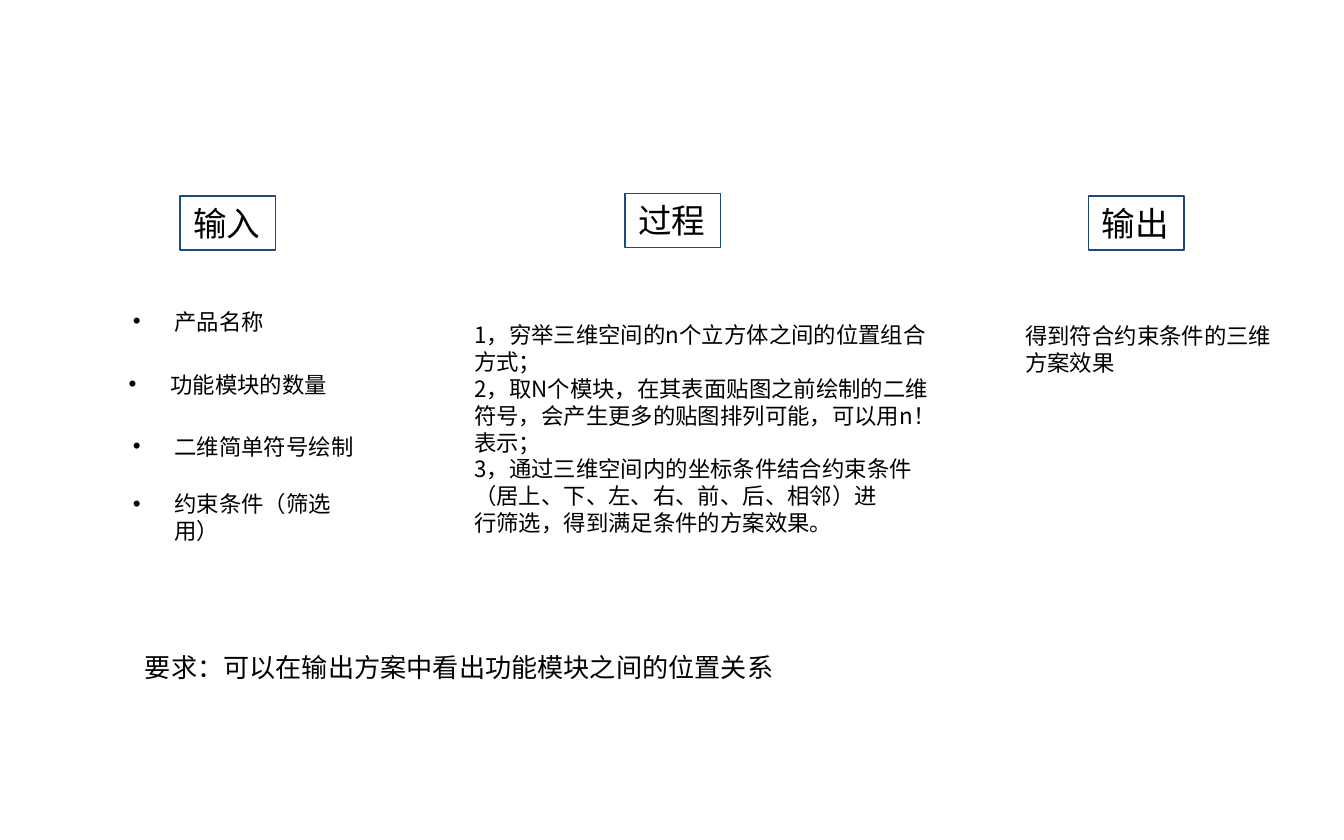
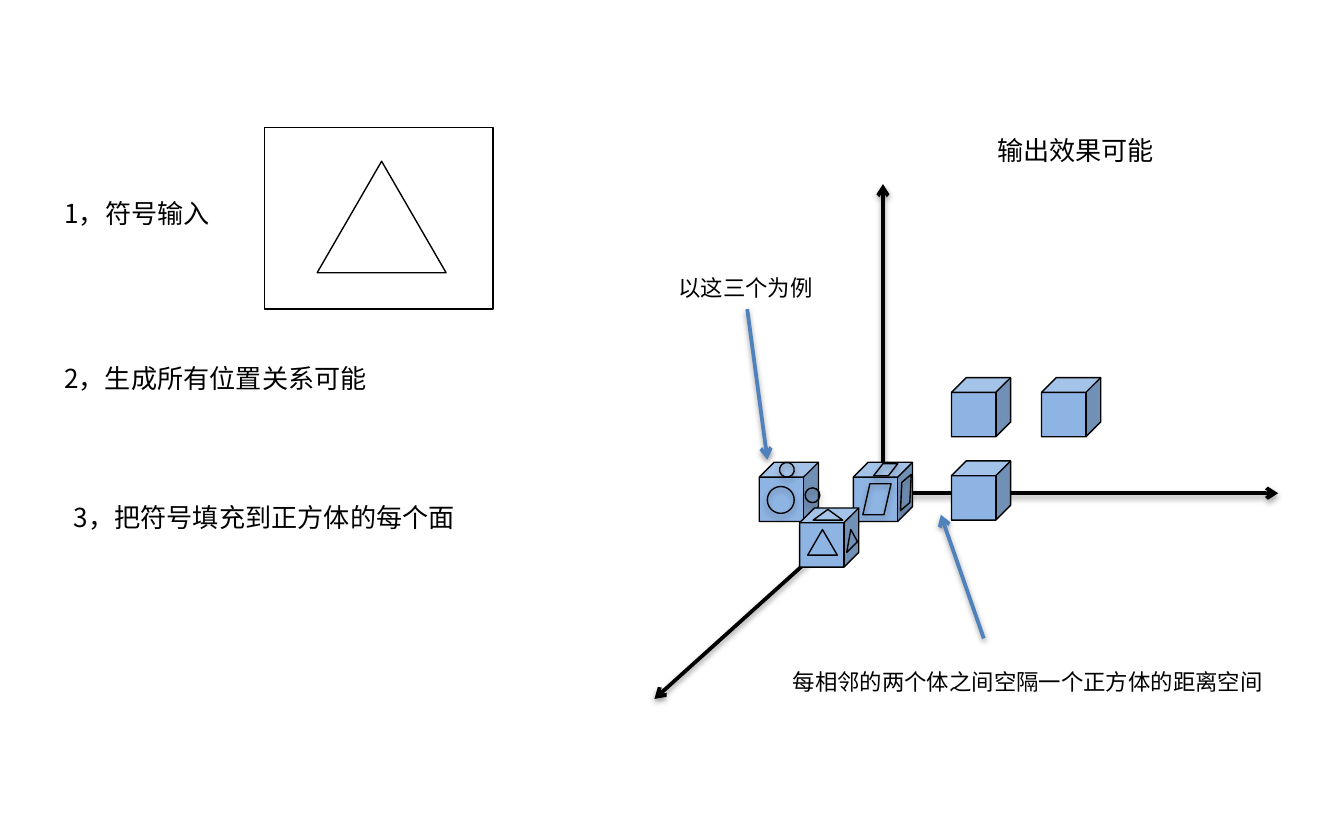
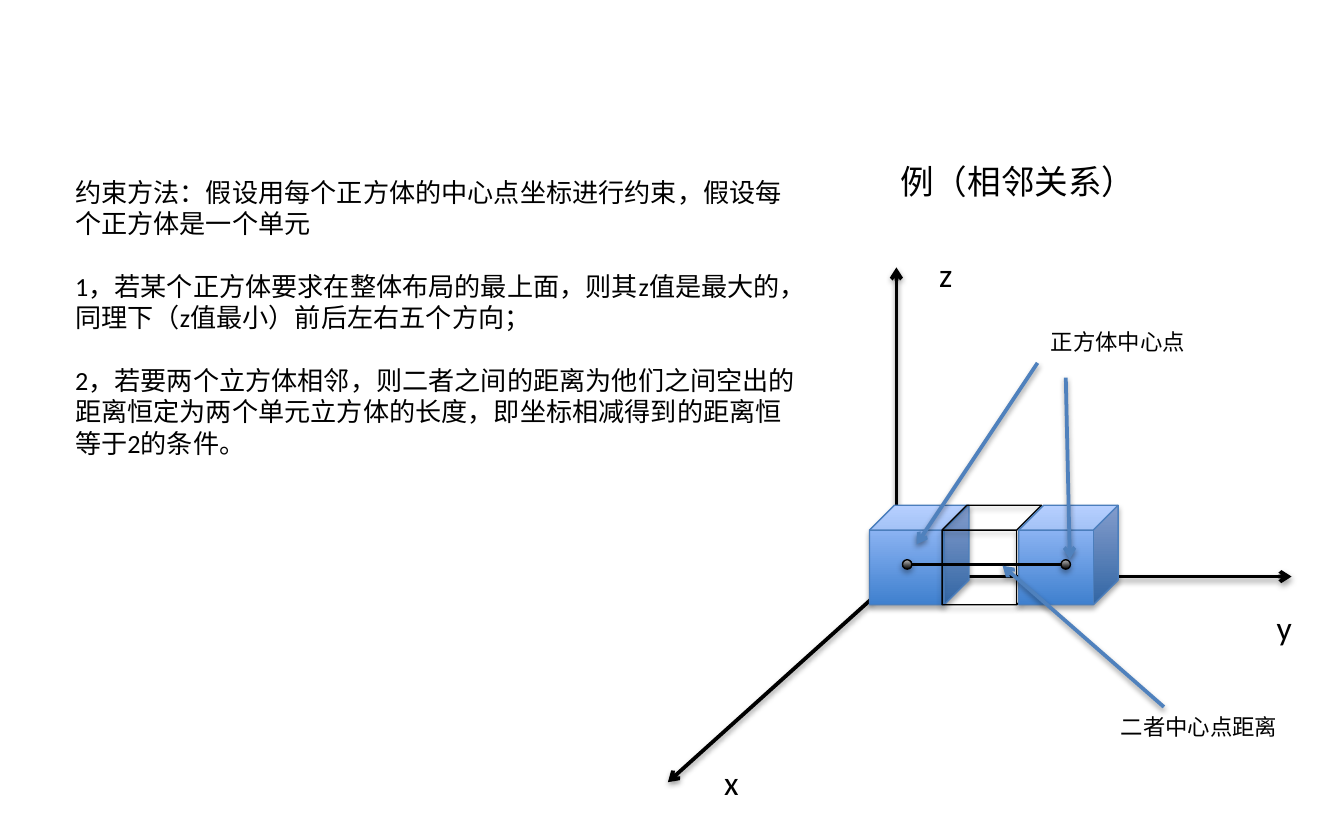
from lxml.etree import SubElement
from pptx import Presentation
from pptx.dml.color import RGBColor
from pptx.enum.shapes import MSO_CONNECTOR, MSO_SHAPE
from pptx.enum.text import MSO_ANCHOR, MSO_AUTO_SIZE
from pptx.oxml.ns import qn
from pptx.util import Inches, Pt

COLUMNS, ROWS = 100, 62.5  # one cell is a tenth of an inch
COLORS = {
    "ink": "000000", "frame": "1F497D", "pointer": "4F81BD", "cube": "8EB4E3",
    "edge": "4B7EBC", "deep": "3F80CE", "pale": "A4C4FF", "silver": "BDBDBD",
}
CJK = "Noto Sans CJK SC"
LATIN = "Calibri"
SHAPE_SHADOW = {"alpha": 35, "blur": 3.1, "dist": 1.8}
LINE_SHADOW = {"alpha": 38, "blur": 3.1, "dist": 1.6}


def rgb(name):
    """Return a palette colour."""
    return RGBColor.from_string(COLORS[name])


class Deck:
    """Shared style and the slide being drawn."""

    def __init__(self):
        """Start an empty presentation of 10 by 6.25 inches."""
        self.show = Presentation()
        self.show.slide_width = Inches(10)
        self.show.slide_height = Inches(6.25)
        self.slide = None

    def new_slide(self):
        """Add a blank slide and make it current."""
        self.slide = self.show.slides.add_slide(self.show.slide_layouts[6])

    def x(self, columns):
        """Turn columns into a length."""
        return round(self.show.slide_width * columns / COLUMNS)

    def y(self, rows):
        """Turn rows into a length."""
        return round(self.show.slide_height * rows / ROWS)

    def box(self, left, top, width, height):
        """Turn a grid box into lengths."""
        return self.x(left), self.y(top), self.x(width), self.y(height)

    def shadow(self, properties, alpha, blur, dist):
        """Put a soft shadow, cast downwards, in the effect list."""
        effects = properties.find(qn("a:effectLst"))
        outer = SubElement(effects, qn("a:outerShdw"), blurRad=str(Pt(blur)),
                           dist=str(Pt(dist)), dir="5400000", rotWithShape="0")
        tint = SubElement(outer, qn("a:srgbClr"), val=COLORS["ink"])
        SubElement(tint, qn("a:alpha"), val=str(alpha * 1000))

    def text(self, left, top, width, height, lines, size=12, font=CJK,
             frame=None, bullet=False, breaks=()):
        """Write lines; a paragraph gap follows the indexes in breaks."""
        label = self.slide.shapes.add_textbox(*self.box(left, top, width, height))
        if frame:
            label.line.color.rgb = rgb(frame)
            label.line.width = Pt(0.75)
        body = label.text_frame
        body.word_wrap = True
        body.auto_size = MSO_AUTO_SIZE.SHAPE_TO_FIT_TEXT
        body.vertical_anchor = MSO_ANCHOR.TOP
        body.text = lines
        for index, paragraph in enumerate(body.paragraphs):
            if index in breaks:
                paragraph.space_after = Pt(size * 1.2)
            if bullet:
                self.bullet(paragraph)
            for run in paragraph.runs:
                run.font.size = Pt(size)
                run.font.name = font
                run.font.color.rgb = rgb("ink")
                SubElement(run.font._element, qn("a:ea"), typeface=CJK)

    def bullet(self, paragraph):
        """Give a paragraph a hanging round bullet."""
        properties = paragraph._p.get_or_add_pPr()
        indent = Inches(0.31)
        properties.set("marL", str(indent))
        properties.set("indent", str(-indent))
        SubElement(properties, qn("a:buFont"), typeface="Arial")
        SubElement(properties, qn("a:buChar"), char="•")

    def paint(self, shape, fill, line, shadow):
        """Apply a flat fill, a bottom-to-top gradient pair, or none."""
        if fill is None:
            shape.fill.background()
        elif isinstance(fill, str):
            shape.fill.solid()
            shape.fill.fore_color.rgb = rgb(fill)
        else:
            shape.fill.gradient()
            shape.fill.gradient_angle = 90
            for stop, name, position in zip(shape.fill.gradient_stops, fill, (0, 1)):
                stop.color.rgb = rgb(name)
                stop.position = position
        shape.line.color.rgb = rgb(line)
        shape.line.width = Pt(0.75)
        shape.shadow.inherit = False
        if shadow:
            self.shadow(shape._element.spPr, **SHAPE_SHADOW)

    def shape(self, kind, left, top, width, height, fill=None, line="ink",
              shadow=False, turn=0):
        """Draw a preset shape."""
        figure = self.slide.shapes.add_shape(kind, *self.box(left, top, width, height))
        figure.rotation = turn
        self.paint(figure, fill, line, shadow)

    def outline(self, points, shadow=False):
        """Draw a closed unfilled polygon."""
        corners = [(self.x(column), self.y(row)) for column, row in points]
        builder = self.slide.shapes.build_freeform(*corners[0])
        builder.add_line_segments(corners[1:], close=True)
        self.paint(builder.convert_to_shape(), None, "ink", shadow)

    def line(self, start, end, color="ink", arrow=True):
        """Draw a line; an arrow also has a shadow."""
        stroke = self.slide.shapes.add_connector(
            MSO_CONNECTOR.STRAIGHT, self.x(start[0]), self.y(start[1]),
            self.x(end[0]), self.y(end[1]))
        stroke.line.color.rgb = rgb(color)
        stroke.line.width = Pt(2)
        properties = stroke._element.spPr
        SubElement(properties, qn("a:effectLst"))
        if arrow:
            SubElement(properties.find(qn("a:ln")), qn("a:tailEnd"), type="arrow")
            self.shadow(properties, **LINE_SHADOW)

    def axes(self, column, row):
        """Draw the three space axes from one origin."""
        for across, down in ((29.4, 0), (-17, 15.3), (0, -23)):
            self.line((column, row), (column + across, row + down))


def flow_slide(deck):
    """Input, process and output."""
    deck.new_slide()
    for left, top, width, item in (
            (8.9, 22.4, 12, "产品名称"),
            (8.6, 27.1, 17, "功能模块的数量"),
            (8.9, 31.7, 18.6, "二维简单符号绘制"),
            (8.9, 36, 19.4, "约束条件（筛选用）")):
        deck.text(left, top, width, 3, item, bullet=True)
    for left, top, stage in ((13.4, 14.6, "输入"), (46.5, 14.4, "过程"),
                             (81, 14.6, "输出")):
        deck.text(left, top, 7.1, 4, stage, 18, LATIN, frame="frame")
    process = (
        "1，穷举三维空间的n个立方体之间的位置组合",
        "方式；",
        "2，取N个模块，在其表面贴图之前绘制的二维",
        "符号，会产生更多的贴图排列可能，可以用n！",
        "表示；",
        "3，通过三维空间内的坐标条件结合约束条件",
        "（居上、下、左、右、前、后、相邻）进",
        "行筛选，得到满足条件的方案效果。",
    )
    deck.text(34.3, 23.4, 36.5, 19.2, "\n".join(process))
    deck.text(75.3, 23.5, 20.5, 5, "得到符合约束条件的三维\n方案效果")
    deck.text(9.8, 48, 49.1, 3.4, "要求：可以在输出方案中看出功能模块之间的位置关系",
              14, LATIN)


def symbol_slide(deck):
    """Symbols placed on the faces of cubes."""
    deck.new_slide()
    deck.axes(65.7, 36.7)
    for left, top in ((70.8, 34.3), (63.5, 34.4), (56.5, 34.4), (59.5, 37.8),
                      (77.5, 28.1), (70.8, 28.1)):
        deck.shape(MSO_SHAPE.CUBE, left, top, 4.4, 4.4, "cube")

    # Circle cube: front, top and side faces
    for left, top, size, turn in ((57.1, 36.2, 2, 0), (58, 34.4, 1.1, 164.6),
                                  (59.9, 36.3, 1.1, 92.9)):
        deck.shape(MSO_SHAPE.OVAL, left, top, size, size, shadow=True, turn=turn)
    # Triangle cube
    deck.shape(MSO_SHAPE.ISOSCELES_TRIANGLE, 60.1, 39.4, 2.2, 1.9)
    deck.shape(MSO_SHAPE.ISOSCELES_TRIANGLE, 60.5, 37.9, 2.2, 0.8)
    deck.outline([(63.3, 39.4), (63.8, 40.3), (63, 41.1)])
    # Parallelogram cube
    deck.shape(MSO_SHAPE.PARALLELOGRAM, 64.2, 36, 2.1, 2.3, shadow=True)
    deck.outline([(65.7, 34.5), (66.8, 34.5), (66.1, 35.4), (65, 35.4)], shadow=True)
    deck.outline([(67.1, 35.9), (67.8, 35.3), (67.7, 37.4), (67, 38)], shadow=True)

    deck.shape(MSO_SHAPE.RECTANGLE, 19.7, 9.5, 17, 13.5)
    deck.shape(MSO_SHAPE.ISOSCELES_TRIANGLE, 23.6, 12, 9.6, 8.3)
    for left, top, width, step in (
            (73.2, 9.5, 13.8, "输出效果可能"),
            (3.8, 14.2, 12.8, "1，符号输入"),
            (3.8, 26.5, 24.7, "2，生成所有位置关系可能"),
            (4.5, 36.8, 30.5, "3，把符号填充到正方体的每个面")):
        deck.text(left, top, width, 3.4, step, 14)
    deck.line((55.6, 23), (57.1, 34.2), "pointer")
    deck.text(49.5, 19.9, 12.1, 3, "以这三个为例", font=LATIN)
    deck.line((73.2, 47.5), (70, 38.3), "pointer")
    deck.text(58, 49.2, 37.4, 3, "每相邻的两个体之间空隔一个正方体的距离空间", font=LATIN)


def constraint_slide(deck):
    """Constraints, with adjacent cubes as the example."""
    deck.new_slide()
    method = (
        "约束方法：假设用每个正方体的中心点坐标进行约束，假设每",
        "个正方体是一个单元",
        "1，若某个正方体要求在整体布局的最上面，则其z值是最大的，",
        "同理下（z值最小）前后左右五个方向；",
        "2，若要两个立方体相邻，则二者之间的距离为他们之间空出的",
        "距离恒定为两个单元立方体的长度，即坐标相减得到的距离恒",
        "等于2的条件。",
    )
    deck.text(4.6, 12.6, 56.8, 22.2, "\n".join(method), 14, LATIN, breaks=(1, 3))
    deck.axes(66.7, 42.9)
    for left, top, width, axis in ((68.9, 18.4, 3, "z"), (52.9, 56.2, 3.1, "x"),
                                   (94, 44.7, 4.3, "y")):
        deck.text(left, top, width, 4, axis, 18, LATIN)
    solid, hollow = (("deep", "pale"), "edge"), (None, "ink")
    for left, (fill, edge) in ((64.7, solid), (70.1, hollow), (75.8, solid)):
        deck.shape(MSO_SHAPE.CUBE, left, 37.6, 7.4, 7.4, fill, edge, shadow=True)

    centres, height = (67.5, 79.3), 42
    deck.line((centres[0], height), (centres[1], height), arrow=False)
    deck.text(66, 11.5, 19.7, 4, "例（相邻关系）", 18, LATIN)
    for centre in centres:
        deck.shape(MSO_SHAPE.OVAL, centre - 0.35, height - 0.35, 0.7, 0.7,
                   ("ink", "silver"), shadow=True)
    deck.text(77.2, 23.9, 12.1, 3, "正方体中心点", font=LATIN)
    for start, end in (((79.3, 28.1), (79.6, 41.6)), ((77.2, 27), (68.2, 40.5)),
                       ((86.6, 52.6), (74.6, 42.1))):
        deck.line(start, end, "pointer")
    deck.text(82.4, 52.6, 13.8, 3, "二者中心点距离", font=LATIN)


deck = Deck()
flow_slide(deck)
symbol_slide(deck)
constraint_slide(deck)
deck.show.save("out.pptx")
